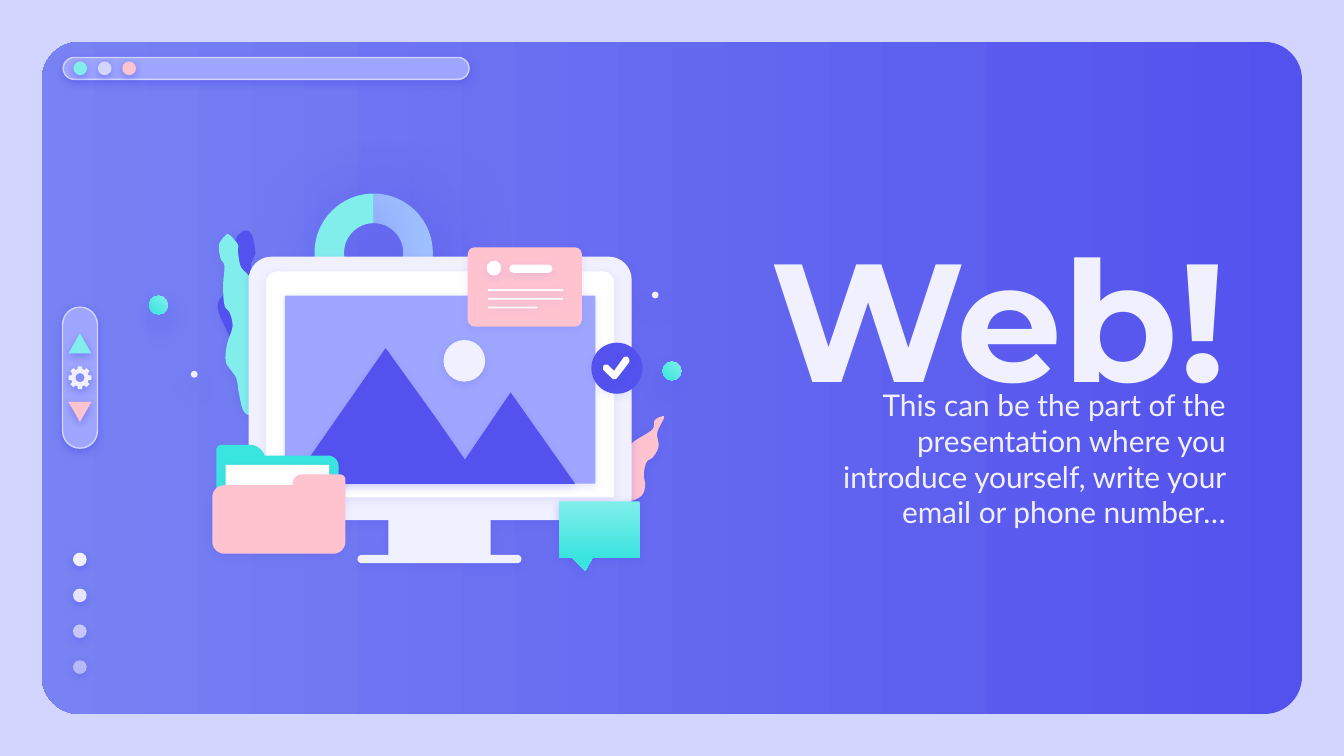
from math import cos, dist, pi, sin

from lxml.etree import SubElement
from pptx import Presentation
from pptx.dml.color import RGBColor
from pptx.enum.shapes import MSO_SHAPE as Shape
from pptx.enum.text import MSO_ANCHOR as Anchor, PP_ALIGN as Align
from pptx.oxml.ns import qn
from pptx.util import Inches, Pt

MIST = RGBColor(0xD2, 0xD6, 0xFF)
INDIGO = RGBColor(0x53, 0x52, 0xEE)
VIOLET = RGBColor(0x78, 0x82, 0xF3)
LILAC = RGBColor(0x9E, 0xA6, 0xFF)
SKY = RGBColor(0xA1, 0xC3, 0xFF)
AQUA = RGBColor(0x81, 0xEE, 0xEB)
TEAL = RGBColor(0x3A, 0xE4, 0xDF)
PINK = RGBColor(0xFF, 0xC3, 0xD0)
PALE = RGBColor(0xF1, 0xF0, 0xFF)
WHITE = RGBColor(0xFF, 0xFF, 0xFF)

COLS, ROWS = 100, 56.25
CELL = Inches(0.1)
FLOAT = (12.4, 6.8, 90)
HIGH = (38.2, 9, 49)

PINK_LEAF = [
    (49.2, 31), (49.4, 31.1), (48.9, 32.2), (49, 33.2), (48.6, 34), (48.1, 34.4),
    (47.9, 35.3), (48, 36.1), (47.8, 36.8), (47.2, 37.2), (46.6, 37.2), (45.5, 36.3),
    (46.1, 34.4), (46.6, 34), (47, 33), (48.5, 32), (48.7, 31.3)]
INDIGO_LEAF = [
    (18.1, 17.2), (18.7, 17.4), (19, 18.7), (18.9, 19.1), (18.7, 19.9), (19.4, 21.2),
    (19.8, 21.7), (20.1, 23.1), (19.7, 23.9), (20.2, 25.3), (20.9, 26.5), (20.5, 27.9),
    (20.1, 29.2), (20.1, 29.9), (19.8, 30.3), (19.1, 30.3), (17.9, 29.4), (17.9, 28),
    (17.9, 27), (17.1, 25.1), (16.2, 22.8), (17, 21.5), (17.7, 20), (17.6, 18.9),
    (17.5, 17.9)]
AQUA_LEAF = [
    (17.1, 17.5), (17.7, 18.2), (17.7, 18.7), (17.9, 19.8), (18.4, 20.4), (18.7, 20.8),
    (19.1, 22.7), (19.6, 24.5), (20.4, 26.3), (20.1, 27.1), (19.8, 28.5), (20, 29),
    (20.2, 30.2), (19.9, 30.9), (19.3, 31.1), (18.2, 30.7), (17.8, 29.4), (17.6, 28.2),
    (17.3, 27.7), (16.8, 26.9), (16.9, 25.6), (17.3, 24.3), (17.1, 23.3), (16.7, 22.7),
    (16.6, 21.2), (16.7, 19.8), (16.4, 19.2), (16.3, 18.2), (16.8, 17.5)]
MONITOR = [
    (18.5, 19.1, 1.7), (47, 19.1, 1.7), (47, 38.7, 1.7), (36.5, 38.7), (36.5, 41.3),
    (38.8, 41.3, 0.3), (38.8, 41.9, 0.3), (26.6, 41.9, 0.3), (26.6, 41.3, 0.3),
    (28.9, 41.3), (28.9, 38.7), (18.5, 38.7, 1.7)]
MOUNTAINS = [
    (28.7, 25.9), (22.5, 34.8), (22.5, 36), (42.8, 36), (38, 29.2), (34.6, 34.2),
    (32.3, 30.9)]
CHECK = [
    (46.55, 26.4, 0.3), (46.95, 26.8, 0.3), (45.75, 28.35, 0.3), (44.75, 27.4, 0.3),
    (45.1, 27, 0.3), (45.7, 27.6)]
FOLDER_BACK = [
    (16.1, 33.1, 0.4), (19.4, 33.1, 0.8), (19.7, 33.9), (25.2, 33.9, 0.8),
    (25.2, 40.5, 0.8), (16.1, 40.5, 0.8)]
FOLDER_FRONT = [
    (21.6, 35.3, 0.9), (25.7, 35.3, 0.4), (25.7, 41.2, 0.9), (15.8, 41.2, 0.9),
    (15.8, 36.1, 0.9), (21.8, 36.1)]


def toward(a, b, length):
    t = length / dist(a, b)
    return a[0] + (b[0] - a[0]) * t, a[1] + (b[1] - a[1]) * t


def bezier(a, b, c, d, steps=8):
    for i in range(steps + 1):
        t = i / steps
        w = ((1 - t) ** 3, 3 * t * (1 - t) ** 2, 3 * t * t * (1 - t), t ** 3)
        yield tuple(sum(k * p[axis] for k, p in zip(w, (a, b, c, d))) for axis in (0, 1))


def rounded(corners):
    points = []
    for i, (x, y, *radius) in enumerate(corners):
        v = (x, y)
        if not radius:
            points.append(v)
            continue
        r = radius[0]
        before, after = corners[i - 1][:2], corners[(i + 1) % len(corners)][:2]
        points += bezier(toward(v, before, r), toward(v, before, r * 0.45),
                         toward(v, after, r * 0.45), toward(v, after, r))
    return points


def wavy(knots):
    points, n = [], len(knots)
    for i in range(n):
        p, a, b, q = (knots[(i + k) % n] for k in (-1, 0, 1, 2))
        c1 = (a[0] + (b[0] - p[0]) / 6, a[1] + (b[1] - p[1]) / 6)
        c2 = (b[0] - (q[0] - a[0]) / 6, b[1] - (q[1] - a[1]) / 6)
        points += list(bezier(a, c1, c2, b))[:-1]
    return points


def ring(x, y, radius, steps=32):
    return [(x + radius * cos(2 * pi * i / steps), y + radius * sin(2 * pi * i / steps))
            for i in range(steps)]


def gear(x, y, inner, outer, teeth=8):
    profile = ((-0.27, inner), (-0.19, outer), (0.19, outer), (0.27, inner))
    return [(x + r * cos(2 * pi * i / teeth + a), y + r * sin(2 * pi * i / teeth + a))
            for i in range(teeth) for a, r in profile]


class Canvas:
    def __init__(self, prs):
        self.s = prs.slides.add_slide(prs.slide_layouts[6])
        fill = self.s.background.fill
        fill.solid()
        fill.fore_color.rgb = MIST

    def paint(self, sp, fill, shade, cast=(4.5, 1.5, 90), line=None, alpha=None):
        if isinstance(fill, tuple) and not isinstance(fill, RGBColor):
            start, end, angle = fill
            sp.fill.gradient()
            sp.fill.gradient_angle = angle
            for stop, colour in zip(sp.fill.gradient_stops, (start, end)):
                stop.color.rgb = colour
        else:
            sp.fill.solid()
            sp.fill.fore_color.rgb = fill
        if alpha:
            colour = sp.element.spPr.find(qn("a:solidFill"))[0]
            SubElement(colour, qn("a:alpha"), val=str(alpha * 1000))
        if line:
            sp.line.color.rgb = line
            sp.line.width = Pt(0.75)
        else:
            sp.line.fill.background()
        sp.shadow.inherit = False
        if shade:
            blur, away, angle = cast
            effects = sp.element.spPr.find(qn("a:effectLst"))
            shadow = SubElement(effects, qn("a:outerShdw"), blurRad=str(Pt(blur)),
                                dist=str(Pt(away)), dir=str(angle * 60000),
                                algn="bl", rotWithShape="0")
            colour = SubElement(shadow, qn("a:srgbClr"), val=str(INDIGO))
            SubElement(colour, qn("a:alpha"), val=str(shade * 1000))

    def shape(self, kind, box, fill, shade=50, adj=(), rot=0, **look):
        sp = self.s.shapes.add_shape(kind, *(round(v * CELL) for v in box))
        for i, value in enumerate(adj):
            sp.adjustments[i] = value
        sp.rotation = rot
        self.paint(sp, fill, shade, **look)

    def dot(self, x, y, size, fill, shade=50, **look):
        self.shape(Shape.OVAL, (x, y, size, size), fill, shade, **look)

    def outline(self, fill, shade, *contours):
        first, *holes = [[(round(x * CELL), round(y * CELL)) for x, y in c] for c in contours]
        builder = self.s.shapes.build_freeform(*first[0], scale=1.0)
        builder.add_line_segments(first[1:], close=True)
        for hole in holes:
            builder.move_to(*hole[0])
            builder.add_line_segments(hole[1:], close=True)
        self.paint(builder.convert_to_shape(), fill, shade)

    def text(self, box, words, font, size, bold=False):
        tf = self.s.shapes.add_textbox(*(round(v * CELL) for v in box)).text_frame
        tf.word_wrap = True
        tf.vertical_anchor = Anchor.MIDDLE
        tf.margin_left = tf.margin_right = tf.margin_top = tf.margin_bottom = CELL
        tf.text = words
        p = tf.paragraphs[0]
        p.alignment = Align.RIGHT
        f = p.runs[0].font
        f.name, f.size, f.bold = font, Pt(size), bold
        f.color.rgb = PALE


def draw_frame(c):
    c.shape(Shape.ROUNDED_RECTANGLE, (3.12, 3.12, COLS - 6.24, ROWS - 6.24),
            (INDIGO, VIOLET, 180), 0, adj=[0.056])
    c.shape(Shape.ROUNDED_RECTANGLE, (4.7, 4.28, 30.2, 1.63), LILAC, adj=[0.5], line=MIST)
    for i, colour in enumerate((AQUA, MIST, PINK)):
        c.dot(5.46 + 1.82 * i, 4.58, 1.02, colour)
    for i, alpha in enumerate((100, 90, 67, 54)):
        c.dot(5.43, 41.12 + 2.67 * i, 1.02, PALE, alpha=alpha)
    c.text((55.9, 17.3, 36.4, 12.4), "Web!", "Montserrat", 90, True)
    c.text((58.4, 29.7, 33.8, 8.8), "This can be the part of the presentation where you "
           "introduce yourself, write your email or phone number…", "Lato", 16)
    c.shape(Shape.ROUNDED_RECTANGLE, (0.7, 26.8, 10.5, 2.6), LILAC, adj=[0.5], rot=90, line=MIST)
    c.shape(Shape.ISOSCELES_TRIANGLE, (5.1, 24.8, 1.7, 1.5), AQUA)
    c.shape(Shape.ISOSCELES_TRIANGLE, (5.1, 29.9, 1.7, 1.5), PINK, rot=180)
    c.outline(PALE, 52, gear(5.95, 28.1, 0.66, 0.86), ring(5.95, 28.1, 0.33))


def draw_desktop(c):
    for rot, colour in ((90, SKY), (270, AQUA)):
        c.shape(Shape.BLOCK_ARC, (23.4, 14.4, 8.8, 8.8), colour, 67, [108, 0, 0.25], rot, cast=HIGH)
    c.outline(PINK, 22, wavy(PINK_LEAF))
    c.outline(INDIGO, 18, wavy(INDIGO_LEAF))
    c.outline(AQUA, 18, wavy(AQUA_LEAF))
    c.dot(11.1, 22, 1.4, (AQUA, TEAL, 225), 38, cast=FLOAT)
    c.dot(14.2, 27.6, 0.5, PALE, 38, cast=FLOAT)
    c.outline(PALE, 22, rounded(MONITOR))
    c.shape(Shape.ROUND_2_SAME_RECTANGLE, (19.8, 20.2, 25.9, 16.8), WHITE, 9, [0.05, 0])
    c.shape(Shape.RECTANGLE, (21.2, 22, 23.1, 14), LILAC, 14)
    c.shape(Shape.ROUNDED_RECTANGLE, (34.8, 18.4, 8.5, 5.9), PINK, 11, [0.09])
    c.dot(36.2, 19.4, 1.1, WHITE, 11)
    c.shape(Shape.ROUNDED_RECTANGLE, (37.9, 19.7, 3.2, 0.6), WHITE, 11, [0.5])
    for i, width in enumerate((5.6, 5.6, 3.7)):
        c.shape(Shape.RECTANGLE, (36.3, 21.52 + 0.65 * i, width, 0.14), WHITE, 11)
    c.dot(44, 25.5, 3.8, INDIGO, 10)
    c.outline(WHITE, 10, rounded(CHECK))
    c.outline(INDIGO, 18, MOUNTAINS)
    c.dot(33, 25.3, 3.1, PALE, 18)
    c.outline(TEAL, 10, rounded(FOLDER_BACK))
    c.shape(Shape.RECTANGLE, (16.8, 34.6, 7.7, 6.4), WHITE, 10)
    c.outline(PINK, 10, rounded(FOLDER_FRONT))
    c.dot(49.3, 26.9, 1.4, (AQUA, TEAL, 225), 38, cast=FLOAT)
    c.dot(48.5, 21.7, 0.5, PALE, 38, cast=FLOAT)
    c.shape(Shape.ROUNDED_RECTANGULAR_CALLOUT, (41.6, 37.3, 6, 4.2), (AQUA, TEAL, 270), 31,
            [-0.174, 0.731, 0])


def main():
    prs = Presentation()
    prs.slide_width, prs.slide_height = round(COLS * CELL), round(ROWS * CELL)
    c = Canvas(prs)
    draw_frame(c)
    draw_desktop(c)
    prs.save("out.pptx")


if __name__ == "__main__":
    main()
